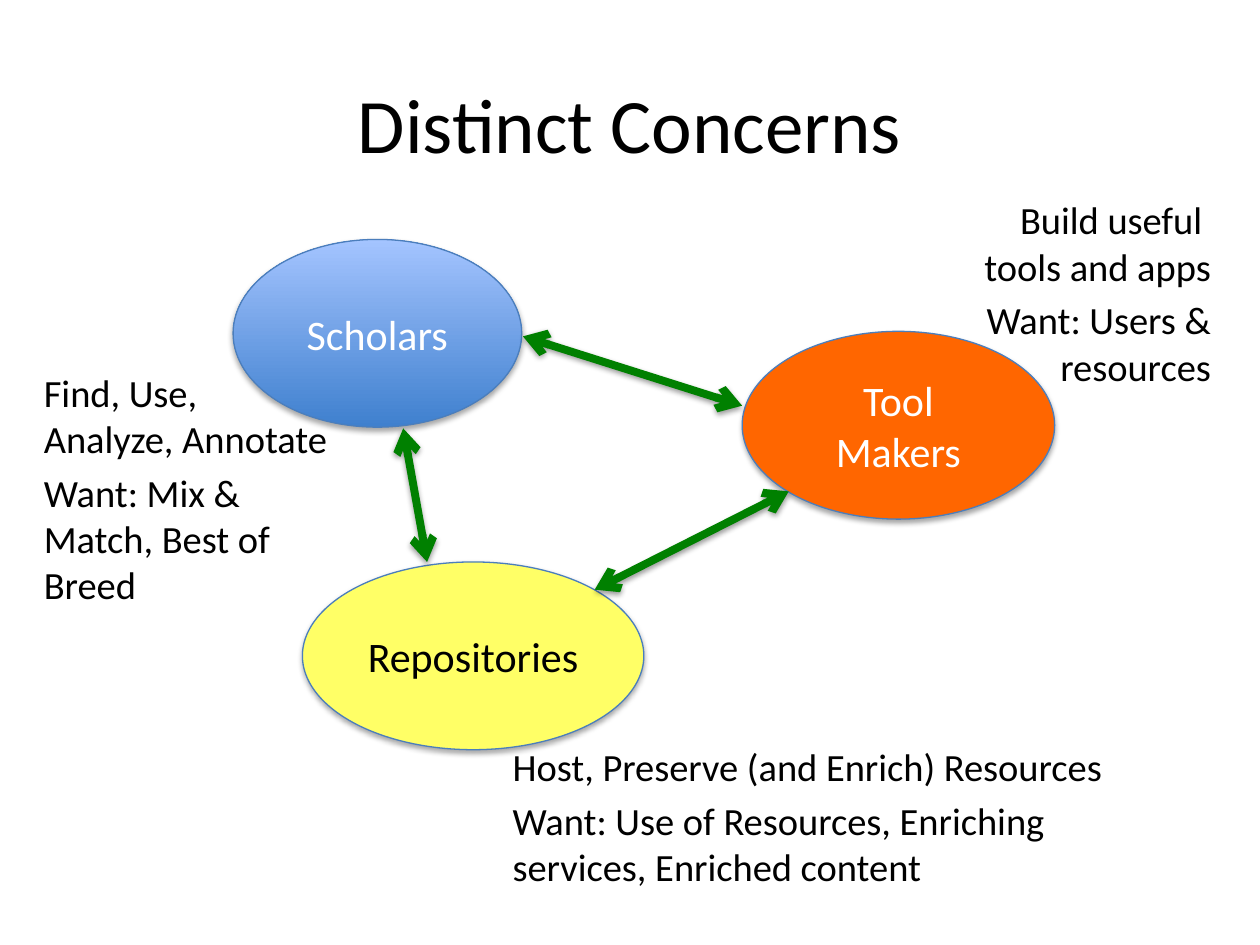
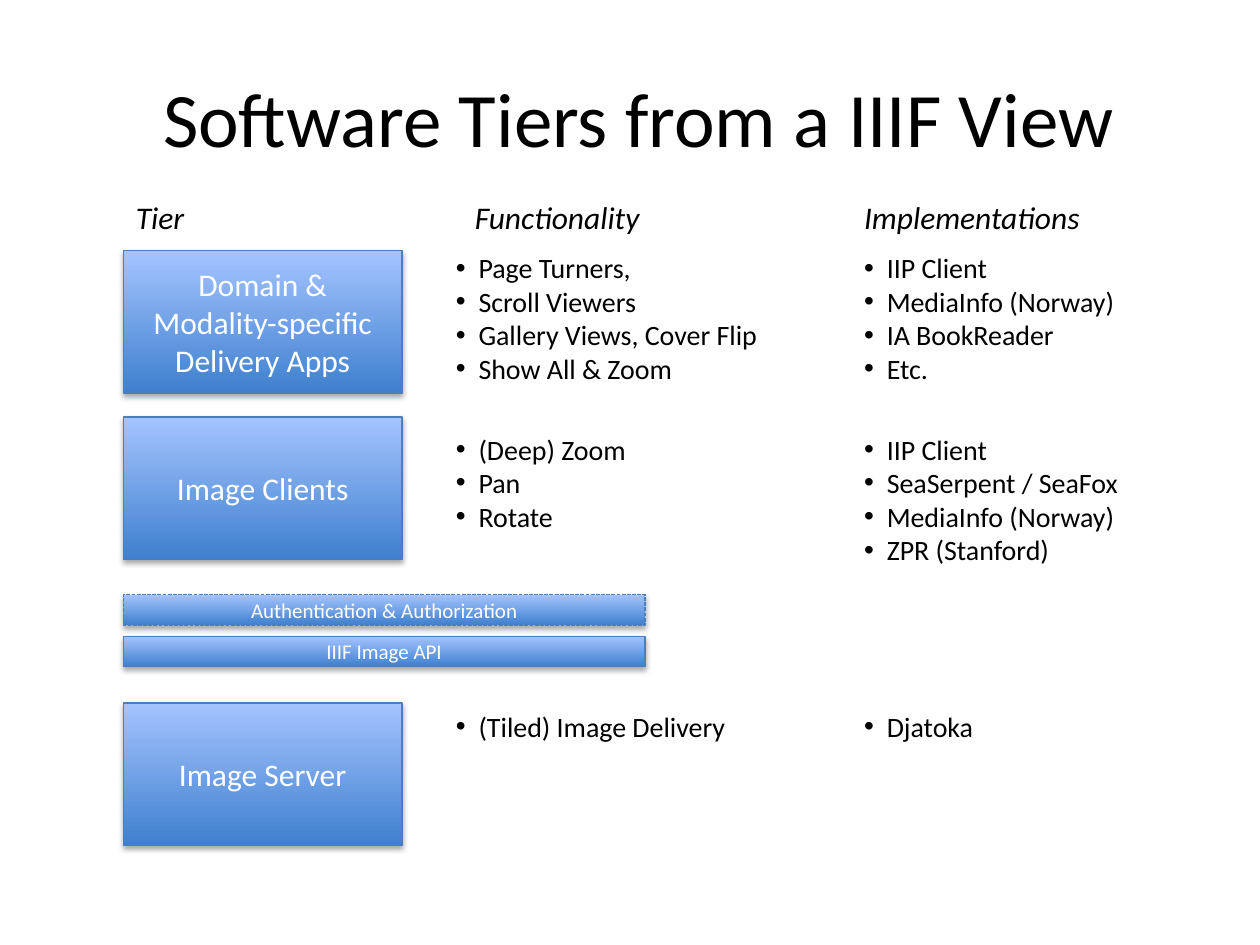
from lxml import etree
from pptx import Presentation
from pptx.dml.color import RGBColor
from pptx.enum.dml import MSO_LINE
from pptx.enum.shapes import MSO_CONNECTOR, MSO_SHAPE
from pptx.enum.text import MSO_ANCHOR, PP_ALIGN
from pptx.oxml.ns import qn
from pptx.util import Inches, Pt

FONT = "Calibri"
BLACK = RGBColor(0x00, 0x00, 0x00)
WHITE = RGBColor(0xFF, 0xFF, 0xFF)
ORANGE = RGBColor(0xFF, 0x66, 0x00)
YELLOW = RGBColor(0xFF, 0xFF, 0x66)
GREEN = RGBColor(0x00, 0x80, 0x00)
OUTLINE = RGBColor(0x4B, 0x7E, 0xBC)
BLUES = (RGBColor(0x3F, 0x80, 0xCE), RGBColor(0xA4, 0xC4, 0xFF))
LEFT, CENTER, RIGHT = PP_ALIGN.LEFT, PP_ALIGN.CENTER, PP_ALIGN.RIGHT
TOP, MIDDLE = MSO_ANCHOR.TOP, MSO_ANCHOR.MIDDLE
OVAL, RECT = MSO_SHAPE.OVAL, MSO_SHAPE.RECTANGLE
STRAIGHT = MSO_CONNECTOR.STRAIGHT
DASHED = MSO_LINE.SQUARE_DOT

# Slide 1: name, box, fill (None is the blue gradient), text colour
ROLES = [
    ("Scholars", (1.85, 1.9, 2.29, 1.49), None, WHITE),
    ("Tool Makers", (5.89, 2.63, 2.48, 1.49), ORANGE, WHITE),
    ("Repositories", (2.4, 4.46, 2.71, 1.49), YELLOW, BLACK),
]
CONCERNS = [
    (["Find, Use, \vAnalyze, Annotate", "Want: Mix & Match, Best of Breed"],
     (0.25, 2.88, 2.53, 2.01), LEFT),
    (["Build useful \vtools and apps", "Want: Users & resources"],
     (7.18, 1.51, 2.53, 1.86), RIGHT),
    (["Host, Preserve (and Enrich) Resources",
      "Want: Use of Resources, Enriching services, Enriched content"],
     (3.97, 5.85, 5.12, 1.54), LEFT),
]
ARROWS = [
    ((3.2, 3.4), (3.39, 4.46)),
    ((6.26, 3.9), (4.72, 4.68)),
    ((5.89, 3.22), (4.15, 2.67)),
]

# Slide 2: heading, left; then tier, box top, list top, functions, software
HEADINGS = [("Tier", 0.98), ("Functionality", 3.67), ("Implementations", 6.76)]
TIERS = [
    ("Domain & Modality-specific Delivery Apps", 1.99, 1.94,
     ["Page Turners,", "Scroll Viewers", "Gallery Views, Cover Flip",
      "Show All & Zoom"],
     ["IIP Client", "MediaInfo (Norway)", "IA BookReader", "Etc."]),
    ("Image Clients", 3.31, 3.38,
     ["(Deep) Zoom", "Pan", "Rotate"],
     ["IIP Client", "SeaSerpent / SeaFox", "MediaInfo (Norway)",
      "ZPR (Stanford)"]),
    ("Image Server", 5.58, 5.58, ["(Tiled) Image Delivery"], ["Djatoka"]),
]
LAYERS = [("Authentication & Authorization", 4.72, DASHED),
          ("IIIF Image API", 5.05, None)]
TIER_LEFT = 0.98
LIST_COLUMNS = [(3.52, 3.0), (6.76, 2.5)]
LINE_HEIGHT = 0.27


def inches(values):
    return [Inches(v) for v in values]


def add_bullet(p):
    indent = Inches(0.18)
    pPr = p._p.get_or_add_pPr()
    pPr.set("marL", str(indent))
    pPr.set("indent", str(-indent))
    etree.SubElement(pPr, qn("a:buFont"), typeface="Arial")
    etree.SubElement(pPr, qn("a:buChar"), char="•")


def write(tf, lines, size, color=BLACK, align=LEFT, anchor=TOP, italic=False,
          bullet=False, space=0):
    tf.word_wrap = True
    tf.vertical_anchor = anchor
    for i, line in enumerate(lines):
        p = tf.paragraphs[0] if i == 0 else tf.add_paragraph()
        p.text = line
        p.alignment = align
        if i and space:
            p.space_before = Pt(space)
        if bullet:
            add_bullet(p)
        for r in p.runs:
            r.font.name = FONT
            r.font.size = Pt(size)
            r.font.italic = italic
            r.font.color.rgb = color


def add_text(s, lines, box, size, **fmt):
    write(s.shapes.add_textbox(*inches(box)).text_frame, lines, size, **fmt)


def add_shadow(sp, opacity, distance):
    """Drop a soft shadow straight down; call after the line is set."""
    spPr = sp._element.spPr
    effects = etree.SubElement(spPr, qn("a:effectLst"))
    shadow = etree.SubElement(effects, qn("a:outerShdw"), blurRad="40000",
                              dist=str(Pt(distance)), dir="5400000",
                              rotWithShape="0")
    color = etree.SubElement(shadow, qn("a:srgbClr"), val="000000")
    etree.SubElement(color, qn("a:alpha"), val=str(opacity * 1000))


def add_block(s, kind, text, box, size, fill=None, color=WHITE, dash=None):
    sp = s.shapes.add_shape(kind, *inches(box))
    if fill is None:
        sp.fill.gradient()
        sp.fill.gradient_angle = 90
        for stop, blue in zip(sp.fill.gradient_stops, BLUES):
            stop.color.rgb = blue
    else:
        sp.fill.solid()
        sp.fill.fore_color.rgb = fill
    sp.line.color.rgb = OUTLINE
    sp.line.width = Pt(0.75)
    if dash:
        sp.line.dash_style = dash
    add_shadow(sp, 35, 1.8)
    write(sp.text_frame, [text], size, color=color, align=CENTER,
          anchor=MIDDLE)


def add_arrow(s, start, end):
    sp = s.shapes.add_connector(STRAIGHT, *inches(start + end))
    sp.line.color.rgb = GREEN
    sp.line.width = Pt(4.5)
    ln = sp.line._get_or_add_ln()
    for tag in ("a:headEnd", "a:tailEnd"):
        etree.SubElement(ln, qn(tag), type="arrow")
    add_shadow(sp, 38, 1.6)


def add_slide(prs, title, box):
    s = prs.slides.add_slide(prs.slide_layouts[5])
    sp = s.shapes.title
    sp.left, sp.top, sp.width, sp.height = inches(box)
    write(sp.text_frame, [title], 44, align=CENTER, anchor=MIDDLE)
    return s


def build_concerns(prs):
    s = add_slide(prs, "Distinct Concerns", (0.5, 0.35, 9, 1.25))
    for name, box, fill, color in ROLES:
        add_block(s, OVAL, name, box, 24, fill=fill, color=color)
    for lines, box, align in CONCERNS:
        add_text(s, lines, box, 22, align=align, space=4.4)
    for start, end in ARROWS:
        add_arrow(s, start, end)


def build_tiers(prs):
    s = add_slide(prs, "Software Tiers from a IIIF View",
                  (0.5, 0.3, 9.14, 1.25))
    for heading, left in HEADINGS:
        add_text(s, [heading], (left, 1.52, 2.5, 0.4), 18, italic=True)
    for name, top, list_top, *lists in TIERS:
        add_block(s, RECT, name, (TIER_LEFT, top, 2.21, 1.13), 18)
        for (left, width), items in zip(LIST_COLUMNS, lists):
            height = 0.1 + LINE_HEIGHT * len(items)
            add_text(s, items, (left, list_top, width, height), 16,
                     bullet=True)
    for name, top, dash in LAYERS:
        add_block(s, RECT, name, (TIER_LEFT, top, 4.14, 0.24), 12, dash=dash)


def main():
    prs = Presentation()
    prs.slide_width, prs.slide_height = inches((10, 7.5))
    build_concerns(prs)
    build_tiers(prs)
    prs.save("out.pptx")


if __name__ == "__main__":
    main()
